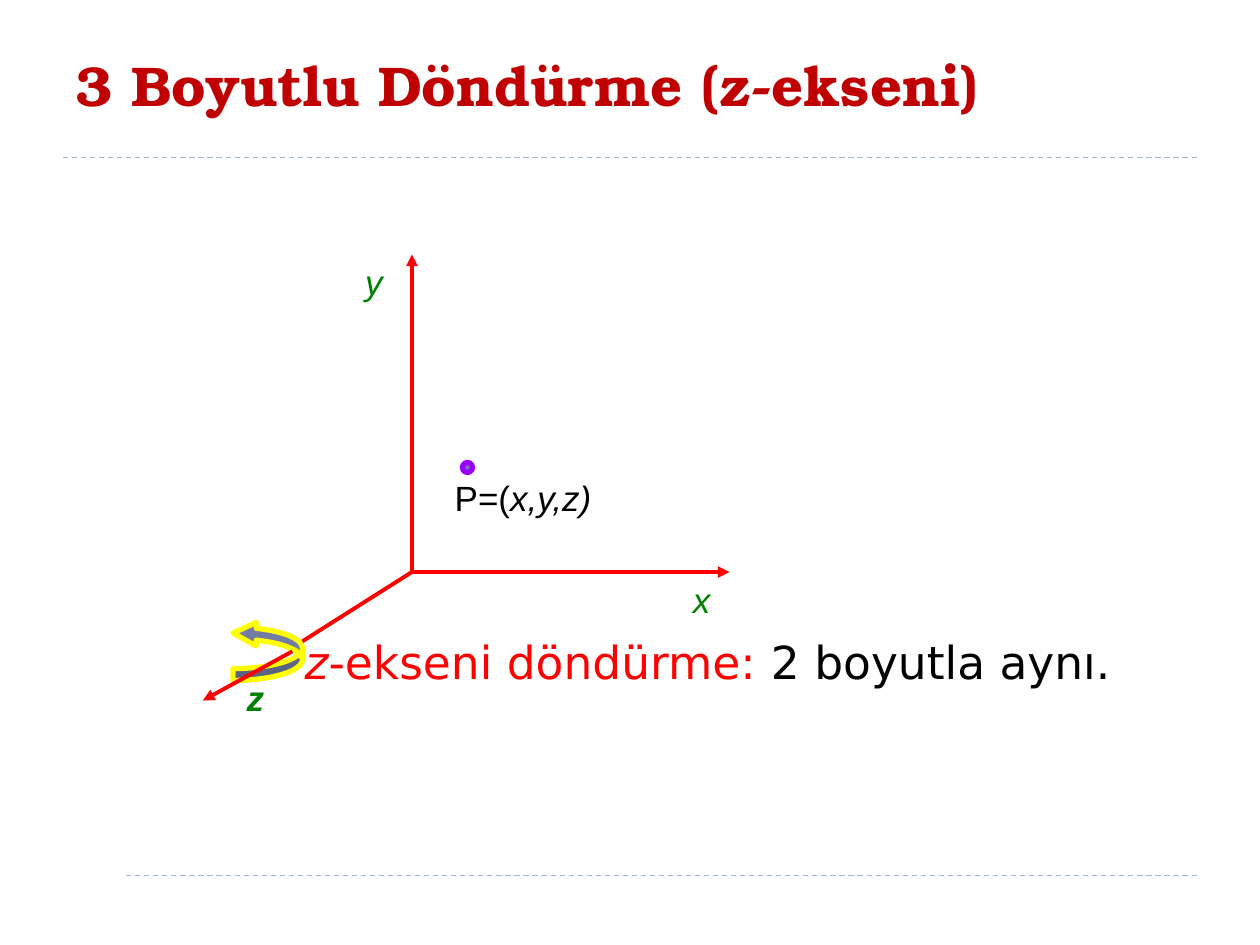
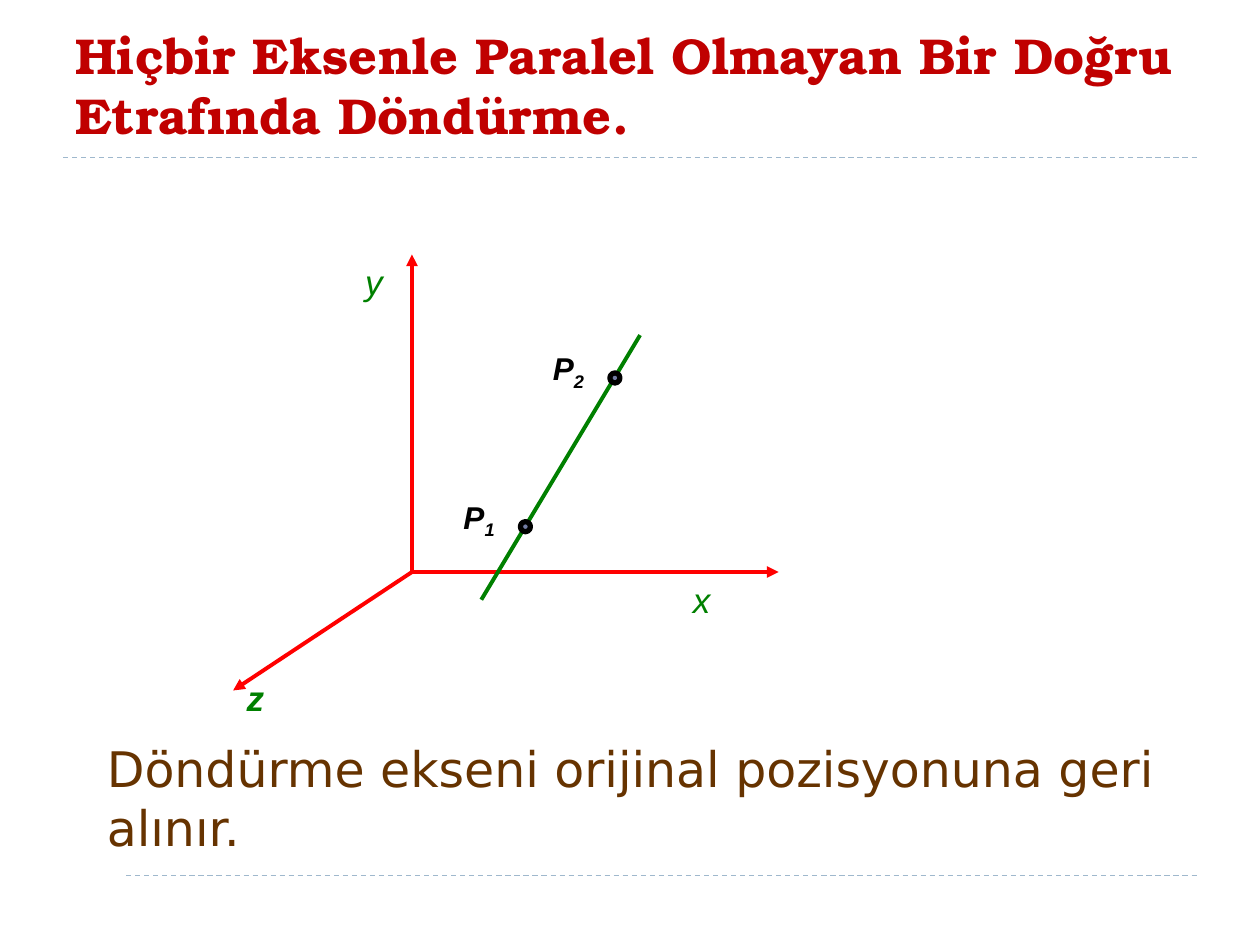
import pptx
import pptx.dml.color
import pptx.enum.dml
import pptx.enum.shapes
import pptx.enum.text
import pptx.oxml.ns
import pptx.util
from lxml import etree
from dataclasses import dataclass

COLS, ROWS = 100, 75
SHAPE = pptx.enum.shapes.MSO_SHAPE
ANCHOR = pptx.enum.text.MSO_ANCHOR
DASH = pptx.enum.dml.MSO_LINE.DASH


@dataclass
class Theme:
    # Colours
    title: str = "C00000"
    rule: str = "9FB8CD"
    axis: str = "FF0000"
    green: str = "008000"
    brown: str = "663300"
    black: str = "000000"
    white: str = "FFFFFF"
    fill: str = "727CA3"
    violet: str = "9900FF"
    yellow: str = "FFFF00"
    # Fonts
    head: str = "TeX Gyre Bonum"
    body: str = "DejaVu Sans"
    label: str = "Arial"
    # Type sizes and line widths
    big: float = 32
    long: float = 28.8
    text: float = 28
    note: float = 26
    mark: float = 20
    point: float = 18
    thin: float = 0.75
    mid: float = 2.25
    thick: float = 3


def rgb(code):
    return pptx.dml.color.RGBColor.from_string(code)


def apply(obj, vals):
    for key, val in vals.items():
        setattr(obj, key, val)


class Deck:
    def __init__(self, theme):
        self.theme = theme
        self.prs = pptx.Presentation()
        apply(self.prs, {"slide_width": pptx.util.Inches(10),
                         "slide_height": pptx.util.Inches(7.5)})
        self.slide = None

    def grid(self, *cells):
        """Turn column, row, column, row ... into lengths."""
        units = (self.prs.slide_width / COLS, self.prs.slide_height / ROWS)
        return [round(cell * units[i % 2]) for i, cell in enumerate(cells)]

    def page(self, title, size):
        """New slide with its rules, footer patch and title."""
        t = self.theme
        self.slide = self.prs.slides.add_slide(self.prs.slide_layouts[5])
        for row in (69.5, 12.5):
            self.line((5, row), (95, row), t.rule, t.thin, dash=DASH)
        self.shape(SHAPE.RECTANGLE, (3.5, 68.2, 6.3, 6.3), t.white)
        head = self.slide.shapes.title
        apply(head, dict(zip(("left", "top", "width", "height"),
                             self.grid(5, 1.3, 90, 10.8))))
        self.fill_text(head, [(title, {"bold": True})], t.head, size, t.title,
                       ANCHOR.MIDDLE)

    def fill_text(self, box, runs, face, size, color, anchor=ANCHOR.TOP):
        frame = box.text_frame
        apply(frame, {"word_wrap": True, "vertical_anchor": anchor,
                      "auto_size": pptx.enum.text.MSO_AUTO_SIZE.NONE})
        para = frame.paragraphs[0]
        para.alignment = pptx.enum.text.PP_ALIGN.LEFT
        for words, style in runs:
            look = {"name": face, "size": pptx.util.Pt(size), **style}
            tint = look.pop("tint", color)
            base = look.pop("base", None)
            run = para.add_run()
            run.text = words
            apply(run.font, look)
            run.font.color.rgb = rgb(tint)
            if base:
                run._r.get_or_add_rPr().set("baseline", str(base * 1000))

    def text(self, area, runs, face, size, color):
        box = self.slide.shapes.add_textbox(*self.grid(*area))
        self.fill_text(box, runs, face, size, color)

    def line(self, start, end, color, width, dash=None, arrow=False):
        link = self.slide.shapes.add_connector(
            pptx.enum.shapes.MSO_CONNECTOR.STRAIGHT, *self.grid(*start, *end))
        link.line.color.rgb = rgb(color)
        apply(link.line, {"width": pptx.util.Pt(width), "dash_style": dash})
        qn = pptx.oxml.ns.qn
        if arrow:
            tail = etree.SubElement(link.line._get_or_add_ln(), qn("a:tailEnd"))
            tail.set("type", "triangle")
        etree.SubElement(link._element.spPr, qn("a:effectLst"))

    def shape(self, kind, area, fill, edge=None, turn=0, bends=()):
        item = self.slide.shapes.add_shape(kind, *self.grid(*area))
        item.shadow.inherit = False
        item.rotation = turn
        item.fill.solid()
        item.fill.fore_color.rgb = rgb(fill)
        if edge:
            item.line.color.rgb = rgb(edge)
            item.line.width = pptx.util.Pt(self.theme.thick)
        else:
            item.line.fill.background()
        for i, bend in enumerate(bends):
            item.adjustments[i] = bend

    def dot(self, col, row, edge):
        self.shape(SHAPE.FLOWCHART_CONNECTOR, (col, row, 0.8, 0.8),
                   self.theme.fill, edge)

    def axis(self, start, end, arrow=True):
        self.line(start, end, self.theme.axis, self.theme.mid, arrow=arrow)

    def names(self):
        """Letters beside the three axes."""
        t = self.theme
        for name, col, row, wide, bold in (("x", 54, 45.4, 4.7, False),
                                           ("y", 28, 20.2, 5.5, False),
                                           ("z", 18.6, 53.2, 5.5, True)):
            self.text((col, row, wide, 4.3),
                      [(name, {"italic": True, "bold": bold})],
                      t.label, t.mark, t.green)


ORIGIN = (32.7, 45.4)
TOP = (32.7, 20.2)


def spin(deck):
    """Rotation about the z axis."""
    t = deck.theme
    deck.page("3 Boyutlu Döndürme (z-ekseni)", t.big)
    deck.text((23.2, 49.8, 72, 5.4),
              [("z", {"italic": True, "tint": t.axis}),
               ("-ekseni döndürme: ", {"tint": t.axis}),
               ("2 boyutla aynı.", {})],
              t.body, t.note, t.black)
    # Axes and point
    deck.axis(ORIGIN, TOP)
    deck.axis(ORIGIN, (57.9, 45.4))
    deck.dot(36.7, 36.7, t.violet)
    deck.text((35.1, 37.3, 21.2, 4.3),
              [("P=(", {}), ("x,y,z)", {"italic": True})],
              t.label, t.mark, t.black)
    deck.names()
    # Turning arrow, with the z axis passing through it
    deck.shape(SHAPE.CURVED_RIGHT_ARROW, (18.5, 49.3, 5.5, 4.7), t.fill,
               t.yellow, 180, (0.2, 0.4, 0.39))
    deck.axis(ORIGIN, (24, 50.9), arrow=False)
    deck.axis((23.2, 51.7), (16.1, 55.6))


def skew(deck):
    """Rotation about a free line."""
    t = deck.theme
    deck.page("Hiçbir Eksenle Paralel Olmayan Bir Doğru Etrafında Döndürme.",
              t.long)
    # Axes
    for end in (TOP, (18.5, 54.8), (61.8, 45.4)):
        deck.axis(ORIGIN, end)
    deck.names()
    # Line through two points
    deck.line((38.2, 47.6), (50.8, 26.6), t.green, t.mid)
    both = {"bold": True, "italic": True}
    for sub, col, row in (("1", 41.3, 41.4), ("2", 48.4, 29.6)):
        deck.dot(col, row, t.black)
        deck.text((col - 5.5, row - 2.4, 7.9, 4),
                  [("P", both), (sub, {**both, "base": -25})],
                  t.label, t.point, t.black)
    # Closing remark
    deck.text((7.5, 58.1, 92.5, 10.5),
              [("Döndürme ekseni orijinal pozisyonuna geri alınır.", {})],
              t.body, t.text, t.brown)


def main():
    deck = Deck(Theme())
    spin(deck)
    skew(deck)
    deck.prs.save("out.pptx")


if __name__ == "__main__":
    main()
